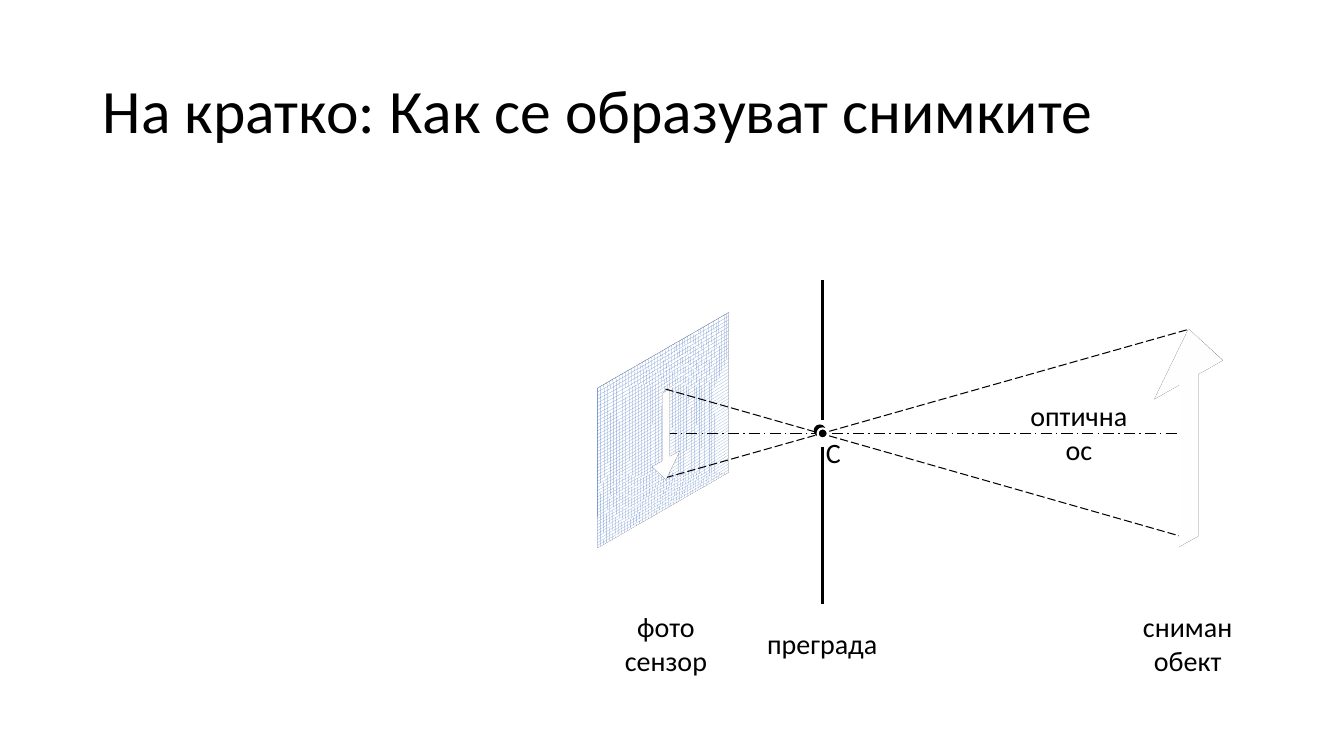
from lxml.etree import SubElement
from pptx import Presentation
from pptx.dml.color import RGBColor
from pptx.enum.dml import MSO_LINE as Dash, MSO_PATTERN as Pattern
from pptx.enum.shapes import MSO_CONNECTOR as Connector, MSO_SHAPE as Shape
from pptx.enum.text import MSO_ANCHOR as Anchor, PP_ALIGN as Align
from pptx.oxml.ns import qn
from pptx.util import Inches, Pt

COLORS = {"ink": "000000", "paper": "FFFFFF", "grid": "4472C4"}
FONT = "Calibri"


def color(name):
    return RGBColor.from_string(COLORS[name])


class Diagram:
    """Holds the style and the current slide."""

    def __init__(self, deck):
        self.page = deck.slides.add_slide(deck.slide_layouts[5])

    def set_text(self, frame, text, size, align):
        """Put one formatted paragraph in a text frame."""
        frame.text = text
        frame.word_wrap = True
        frame.vertical_anchor = Anchor.MIDDLE
        para = frame.paragraphs[0]
        para.alignment = align
        for span in para.runs:
            span.font.name = FONT
            span.font.size = Pt(size)
            span.font.color.rgb = color("ink")
        return para

    def title(self, text, left, top, width, height):
        """Move and format the title placeholder."""
        box = self.page.shapes.title
        box.left, box.top = Inches(left), Inches(top)
        box.width, box.height = Inches(width), Inches(height)
        self.set_text(box.text_frame, text, 44, Align.LEFT).line_spacing = 0.9

    def label(self, text, left, top, width, height):
        """Add a centred caption without insets."""
        box = self.page.shapes.add_textbox(
            Inches(left), Inches(top), Inches(width), Inches(height))
        frame = box.text_frame
        frame.margin_left = frame.margin_right = 0
        frame.margin_top = frame.margin_bottom = 0
        self.set_text(frame, text, 20, Align.CENTER).space_after = Pt(6)

    def line(self, start, end, weight, dash=None):
        """Add a straight black line."""
        link = self.page.shapes.add_connector(
            Connector.STRAIGHT, *map(Inches, start + end))
        link.line.color.rgb = color("ink")
        link.line.width = Pt(weight)
        if dash:
            link.line.dash_style = dash
        SubElement(link._element.spPr, qn("a:effectLst"))

    def shape(self, kind, left, top, width, height, fill="paper", line="ink",
              weight=1):
        """Add a filled and outlined preset shape."""
        shape = self.page.shapes.add_shape(
            kind, Inches(left), Inches(top), Inches(width), Inches(height))
        shape.shadow.inherit = False
        shape.fill.solid()
        shape.fill.fore_color.rgb = color(fill)
        shape.line.color.rgb = color(line)
        shape.line.width = Pt(weight)
        return shape

    def tilt(self, shape):
        """Turn a shape into the isometric view."""
        scene = SubElement(shape._element.spPr, qn("a:scene3d"))
        SubElement(scene, qn("a:camera"), prst="isometricRightUp")
        SubElement(scene, qn("a:lightRig"), rig="threePt", dir="t")

    def sensor(self, left, top, width, height):
        """Add the tilted grid of the photo sensor."""
        shape = self.shape(Shape.RECTANGLE, left, top, width, height, weight=1.25)
        shape.fill.patterned()
        shape.fill.pattern = Pattern.LARGE_GRID
        shape.fill.fore_color.rgb = color("grid")
        shape.fill.back_color.rgb = color("paper")
        self.tilt(shape)

    def arrow(self, left, top, width, height, upward=False):
        """Add a tilted block arrow."""
        shape = self.shape(Shape.DOWN_ARROW, left, top, width, height)
        shape.adjustments[0] = 0.276
        shape.adjustments[1] = 0.649
        if upward:
            shape._element.spPr.xfrm.set("flipV", "1")
        self.tilt(shape)

    def pinhole(self, left, top, size):
        """Add the centre dot with its hard shadow."""
        shape = self.shape(Shape.OVAL, left, top, size, size, "ink", "paper", 1.5)
        effects = shape._element.spPr.find(qn("a:effectLst"))
        shadow = SubElement(effects, qn("a:outerShdw"), blurRad="0",
                            dist=str(Inches(0.04)), dir="13500000", algn="ctr")
        SubElement(shadow, qn("a:srgbClr"), val=COLORS["ink"])


def main():
    deck = Presentation()
    deck.slide_width, deck.slide_height = Inches(13.33), Inches(7.5)
    diagram = Diagram(deck)
    diagram.title("На кратко: Как се образуват снимките", 0.92, 0.4, 11.5, 1.45)

    image_x, object_x, barrier_x = 6.6, 11.78, 8.16
    diagram.sensor(5.65, 3.3, 1.85, 1.93)
    diagram.line((image_x, 4.3), (object_x, 4.3), 1, Dash.LONG_DASH_DOT)
    diagram.line((image_x, 4.74), (object_x, 3.27), 0.75, Dash.LONG_DASH)
    diagram.arrow(6.41, 3.79, 0.39, 1.06)
    diagram.line((image_x, 3.86), (object_x, 5.34), 0.75, Dash.LONG_DASH)
    diagram.arrow(11.31, 3.03, 0.95, 2.57, upward=True)

    for top, bottom in ((2.78, 4.17), (4.43, 5.99)):
        diagram.line((barrier_x, top), (barrier_x, bottom), 2.25)
    diagram.label("C", 8.09, 4.25, 0.35, 0.48)
    for text, left, width in (("фото сензор", 5.98, 1.25),
                              ("преграда", 7.53, 1.25),
                              ("сниман обект", 11.1, 1.36)):
        diagram.label(text, left, 5.93, width, 0.9)
    diagram.pinhole(8.11, 4.25, 0.1)
    diagram.label("оптична ос", 10.14, 3.84, 1.12, 0.9)
    deck.save("out.pptx")


if __name__ == "__main__":
    main()
